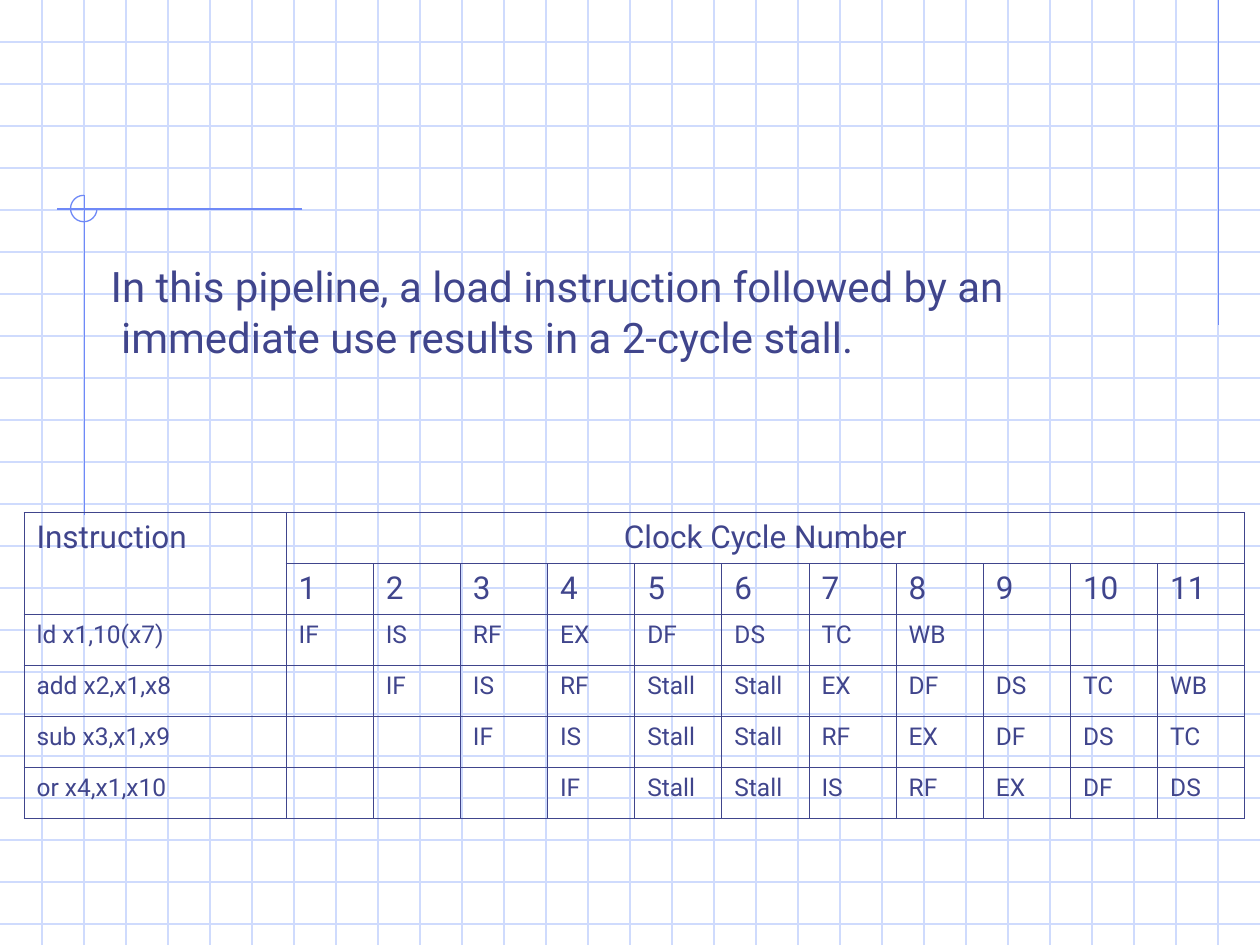
"""Build the pipeline load-use stall slide with its clock cycle table."""
from lxml.etree import SubElement
from pptx import Presentation
from pptx.dml.color import RGBColor
from pptx.enum.shapes import MSO_CONNECTOR, MSO_SHAPE
from pptx.enum.text import PP_ALIGN
from pptx.oxml import parse_xml
from pptx.oxml.ns import nsdecls, qn
from pptx.util import Inches, Pt

GRID = RGBColor(0xCF, 0xDB, 0xFD)
ACCENT = RGBColor(0x6F, 0x89, 0xF7)
INK = RGBColor(0x40, 0x45, 0x8C)


def add_line(s, x1, y1, x2, y2, color):
    c = s.shapes.add_connector(
        MSO_CONNECTOR.STRAIGHT, Inches(x1), Inches(y1), Inches(x2), Inches(y2))
    c.line.color.rgb = color
    c.line.width = Pt(0.75)
    SubElement(c._element.spPr, qn("a:effectLst"))


def write(p, text, size):
    p.text = text
    p.font.color.rgb = INK
    for name, value in {"name": "Roboto", "size": Pt(size), "bold": False}.items():
        setattr(p.font, name, value)


prs = Presentation()
prs.slide_width, prs.slide_height = Inches(10), Inches(7.5)
s = prs.slides.add_slide(prs.slide_layouts[6])

for i in range(1, 23):
    add_line(s, 0, i / 3, 10, i / 3, GRID)
for i in range(1, 30):
    add_line(s, i / 3, 0, i / 3, 7.5, GRID)

add_line(s, 9.67, 0, 9.67, 2.58, ACCENT)
add_line(s, 2.4, 1.66, 0.45, 1.66, ACCENT)
add_line(s, 0.67, 1.55, 0.67, 4.09, ACCENT)

arc = s.shapes.add_shape(
    MSO_SHAPE.ARC, Inches(0.56), Inches(1.55), Inches(0.21), Inches(0.21))
arc.shadow.inherit = False
arc.fill.background()
arc.line.color.rgb = ACCENT
arc.line.width = Pt(0.75)
arc.adjustments[0] = 0
arc.adjustments[1] = 162

tf = s.shapes.add_textbox(Inches(0.78), Inches(2.02), Inches(7.88), Inches(0.9)).text_frame
tf.word_wrap = True
write(tf.paragraphs[0], "In this pipeline, a load instruction followed by an", 24)
write(tf.add_paragraph(), " immediate use results in a 2-cycle stall.", 24)

rows = [
    ["Instruction", "Clock Cycle Number"],
    [""] + [str(n) for n in range(1, 12)],
    ["ld x1,10(x7)", *"IF IS RF EX DF DS TC WB".split()],
    ["add x2,x1,x8", "", *"IF IS RF Stall Stall EX DF DS TC WB".split()],
    ["sub x3,x1,x9", "", "", *"IF IS Stall Stall RF EX DF DS TC".split()],
    ["or x4,x1,x10", "", "", "", *"IF Stall Stall IS RF EX DF DS".split()],
]
table = s.shapes.add_table(
    6, 12, Inches(0.19), Inches(4.07), Inches(9.69), Inches(2.43)).table
table.first_row = table.horz_banding = False
for i, col in enumerate(table.columns):
    col.width = Inches((9.69 - 2.08) / 11) if i else Inches(2.08)

for r, texts in enumerate(rows):
    for c in range(12):
        cell = table.cell(r, c)
        write(cell.text_frame.paragraphs[0], texts[c] if c < len(texts) else "",
              18 if r < 2 else 14)
        cell.fill.background()
        tcPr = cell._tc.get_or_add_tcPr()
        for i, side in enumerate(("lnL", "lnR", "lnT", "lnB")):
            tcPr.insert(i, parse_xml(
                f'<a:{side} {nsdecls("a")} w="{Pt(0.45)}"><a:solidFill>'
                f'<a:srgbClr val="{INK}"/></a:solidFill></a:{side}>'))

table.cell(0, 0).merge(table.cell(1, 0))
table.cell(0, 1).merge(table.cell(0, 11))
table.cell(0, 1).text_frame.paragraphs[0].alignment = PP_ALIGN.CENTER

prs.save("out.pptx")
